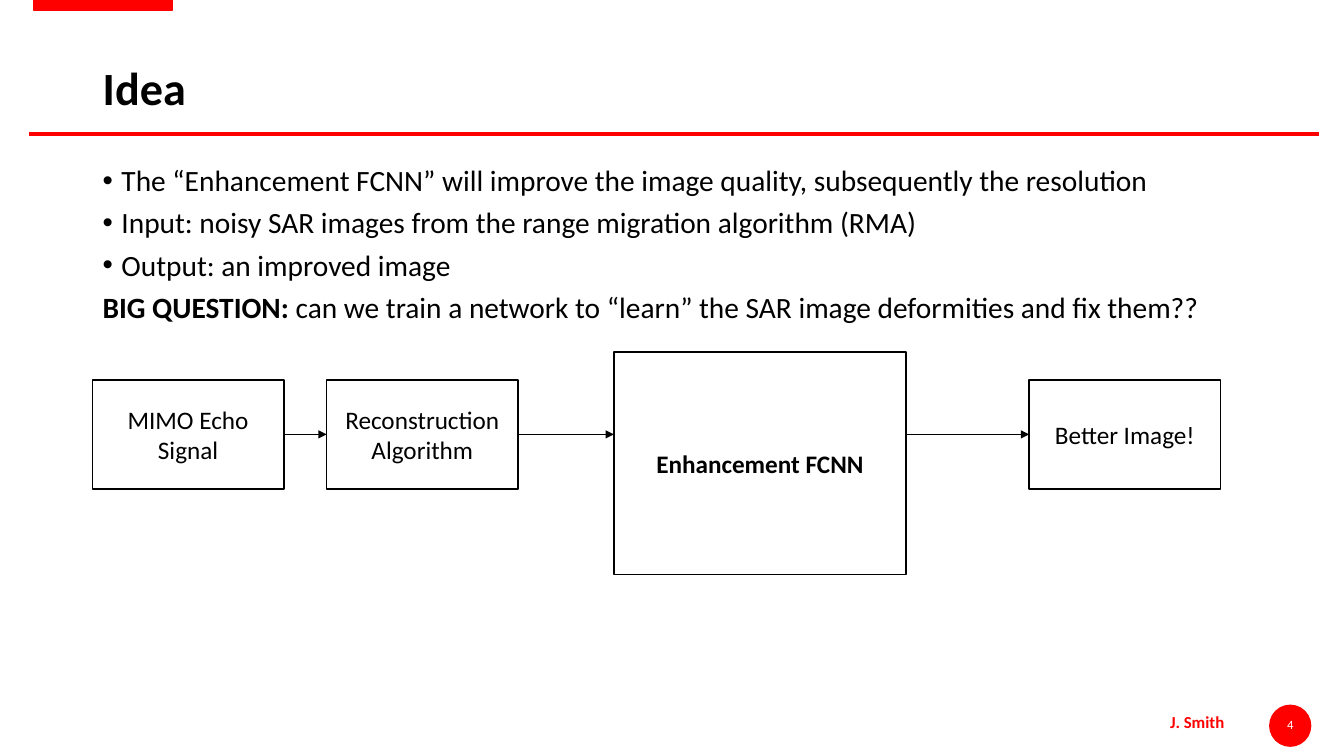
"""Build the "Idea" slide: enhancement network goals and the processing pipeline."""
import itertools

import pptx
import pptx.dml.color
import pptx.enum.shapes
import pptx.enum.text
import pptx.oxml
import pptx.oxml.ns
import pptx.util

Pt = pptx.util.Pt
SHAPE = pptx.enum.shapes.MSO_SHAPE
ALIGN = pptx.enum.text.PP_ALIGN
ANCHOR = pptx.enum.text.MSO_ANCHOR
DRAWING_NS = pptx.oxml.ns.nsdecls("a")

RED, BLACK, WHITE = "FF0000", "000000", "FFFFFF"
TITLE = "Idea"
AUTHOR = "J. Smith"
PAGE = "4"
GOALS = [
    "The “Enhancement FCNN” will improve the image quality, subsequently the resolution",
    "Input: noisy SAR images from the range migration algorithm (RMA)",
    "Output: an improved image",
]
QUESTION = ("BIG QUESTION: ",
            "can we train a network to “learn” the SAR image deformities and fix them??")

STAGE = (136.8, 77.8)
STAGE_TOP = 271.4
FLOW_Y = STAGE_TOP + STAGE[1] / 2
NETWORK = "Enhancement FCNN"
STAGES = [
    ("MIMO Echo Signal", 66, STAGE_TOP, *STAGE),
    ("Reconstruction Algorithm", 233.3, STAGE_TOP, *STAGE),
    (NETWORK, 438.5, 251.3, 208.8, 159.1),
    ("Better Image!", 735.1, STAGE_TOP, *STAGE),
]
RULE_LEFTS = (29.5, 20.9, 23.8)
RULE_Y, RULE_WIDTH = 95.8, 913
TITLE_AREA = (66.2, 28.8, 828, 72)
GOALS_AREA = (66.2, 115.2, 828, 127.4)
AUTHOR_AREA = (828.7, 504.7, 54, 21.6)
PAGE_AREA = (910.1, 510.5, 23, 14.4)
BADGE_AREA = (906.5, 503.3, 30.2, 30.2)
TAB_AREA = (23.8, -1.4, 99.4, 8.6)


def color(value):
    return pptx.dml.color.RGBColor.from_string(value)


def apply(target, formats):
    for name, value in formats.items():
        setattr(target, name, value)


def lengths(values):
    return [Pt(value) for value in values]


def write(paragraph, words, size, ink=BLACK, bold=False):
    run = paragraph.add_run()
    run.text = words
    apply(run.font, {"name": "Calibri", "size": Pt(size), "bold": bold})
    run.font.color.rgb = color(ink)


def add_block(slide, kind, area, fill, outline=None):
    block = slide.shapes.add_shape(kind, *lengths(area))
    block.shadow.inherit = False
    block.fill.solid()
    block.fill.fore_color.rgb = color(fill)
    if outline:
        block.line.color.rgb = color(outline)
        block.line.width = Pt(1)
    else:
        block.line.fill.background()
    return block


def add_line(slide, start, end, ink, width, arrow=False):
    line = slide.shapes.add_connector(
        pptx.enum.shapes.MSO_CONNECTOR.STRAIGHT, *lengths((*start, *end)))
    line.line.color.rgb = color(ink)
    line.line.width = Pt(width)
    if arrow:
        line.line._get_or_add_ln().append(
            pptx.oxml.parse_xml(f'<a:tailEnd {DRAWING_NS} type="triangle"/>'))
    line._element.spPr.append(pptx.oxml.parse_xml(f"<a:effectLst {DRAWING_NS}/>"))
    return line


def add_text(slide, area, **formats):
    frame = slide.shapes.add_textbox(*lengths(area)).text_frame
    apply(frame, {"word_wrap": True, **formats})
    return frame


def add_furniture(slide):
    add_block(slide, SHAPE.OVAL, BADGE_AREA, RED)
    add_block(slide, SHAPE.RECTANGLE, TAB_AREA, RED, RED)
    for left in RULE_LEFTS:
        add_line(slide, (left, RULE_Y), (left + RULE_WIDTH, RULE_Y), RED, 3)
    author = add_text(slide, AUTHOR_AREA, word_wrap=False)
    write(author.paragraphs[0], AUTHOR, 12, RED, True)
    page = add_text(slide, PAGE_AREA, vertical_anchor=ANCHOR.MIDDLE, margin_left=0,
                    margin_right=0, margin_top=0, margin_bottom=0)
    page.paragraphs[0].alignment = ALIGN.CENTER
    write(page.paragraphs[0], PAGE, 9, WHITE)


def add_title(slide):
    title = slide.shapes.title
    apply(title, dict(zip(("left", "top", "width", "height"), lengths(TITLE_AREA))))
    apply(title.text_frame, {"vertical_anchor": ANCHOR.MIDDLE, "word_wrap": True,
                             "auto_size": pptx.enum.text.MSO_AUTO_SIZE.NONE})
    heading = title.text_frame.paragraphs[0]
    apply(heading, {"alignment": ALIGN.LEFT, "line_spacing": 0.9})
    write(heading, TITLE, 33, bold=True)


def add_goals(slide):
    frame = add_text(slide, GOALS_AREA)
    spacing = {"line_spacing": 0.9, "space_before": Pt(7.5)}
    for index, goal in enumerate(GOALS):
        paragraph = frame.add_paragraph() if index else frame.paragraphs[0]
        apply(paragraph, spacing)
        properties = paragraph._p.get_or_add_pPr()
        properties.set("marL", str(Pt(13.5)))
        properties.set("indent", str(-Pt(13.5)))
        for bullet in ('<a:buFont {} typeface="Arial"/>', '<a:buChar {} char="•"/>'):
            properties.append(pptx.oxml.parse_xml(bullet.format(DRAWING_NS)))
        write(paragraph, goal, 21)
    question = frame.add_paragraph()
    apply(question, spacing)
    for words, bold in zip(QUESTION, (True, False)):
        write(question, words, 21, bold=bold)


def add_pipeline(slide):
    boxes = []
    for label, *area in STAGES:
        box = add_block(slide, SHAPE.RECTANGLE, area, WHITE, BLACK)
        apply(box.text_frame, {"word_wrap": True, "vertical_anchor": ANCHOR.MIDDLE})
        paragraph = box.text_frame.paragraphs[0]
        paragraph.alignment = ALIGN.CENTER
        write(paragraph, label, 18, bold=label == NETWORK)
        boxes.append(box)
    for (stage, box), (next_stage, next_box) in itertools.pairwise(zip(STAGES, boxes)):
        arrow = add_line(slide, (stage[1] + stage[3], FLOW_Y),
                         (next_stage[1], FLOW_Y), BLACK, 0.5, arrow=True)
        if stage[0] != NETWORK:
            arrow.begin_connect(box, 3)
        if next_stage[0] != NETWORK:
            arrow.end_connect(next_box, 1)


def main():
    deck = pptx.Presentation()
    apply(deck, {"slide_width": Pt(960), "slide_height": Pt(540)})
    slide = deck.slides.add_slide(deck.slide_layouts[5])
    add_furniture(slide)
    add_title(slide)
    add_goals(slide)
    add_pipeline(slide)
    deck.save("out.pptx")


if __name__ == "__main__":
    main()
